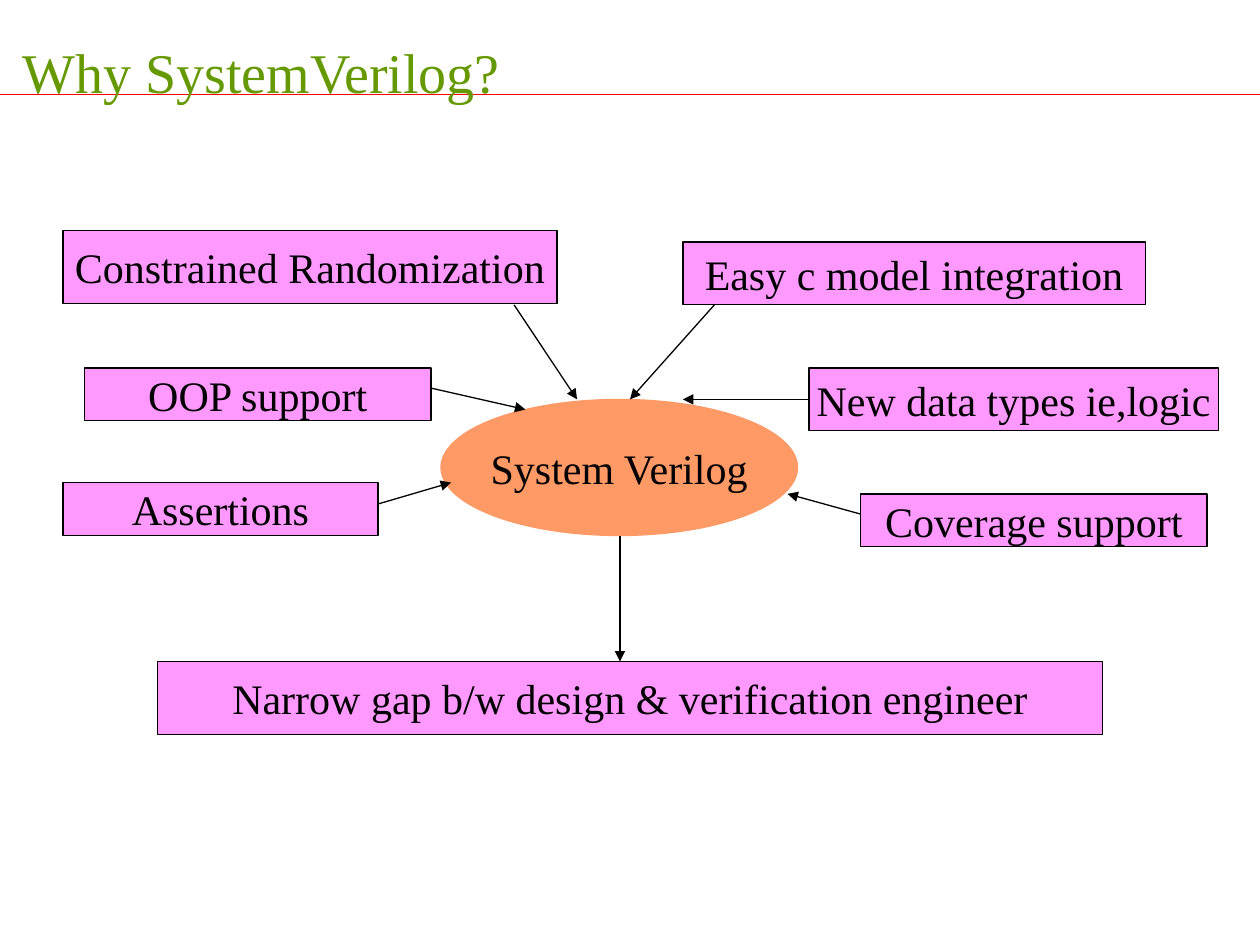
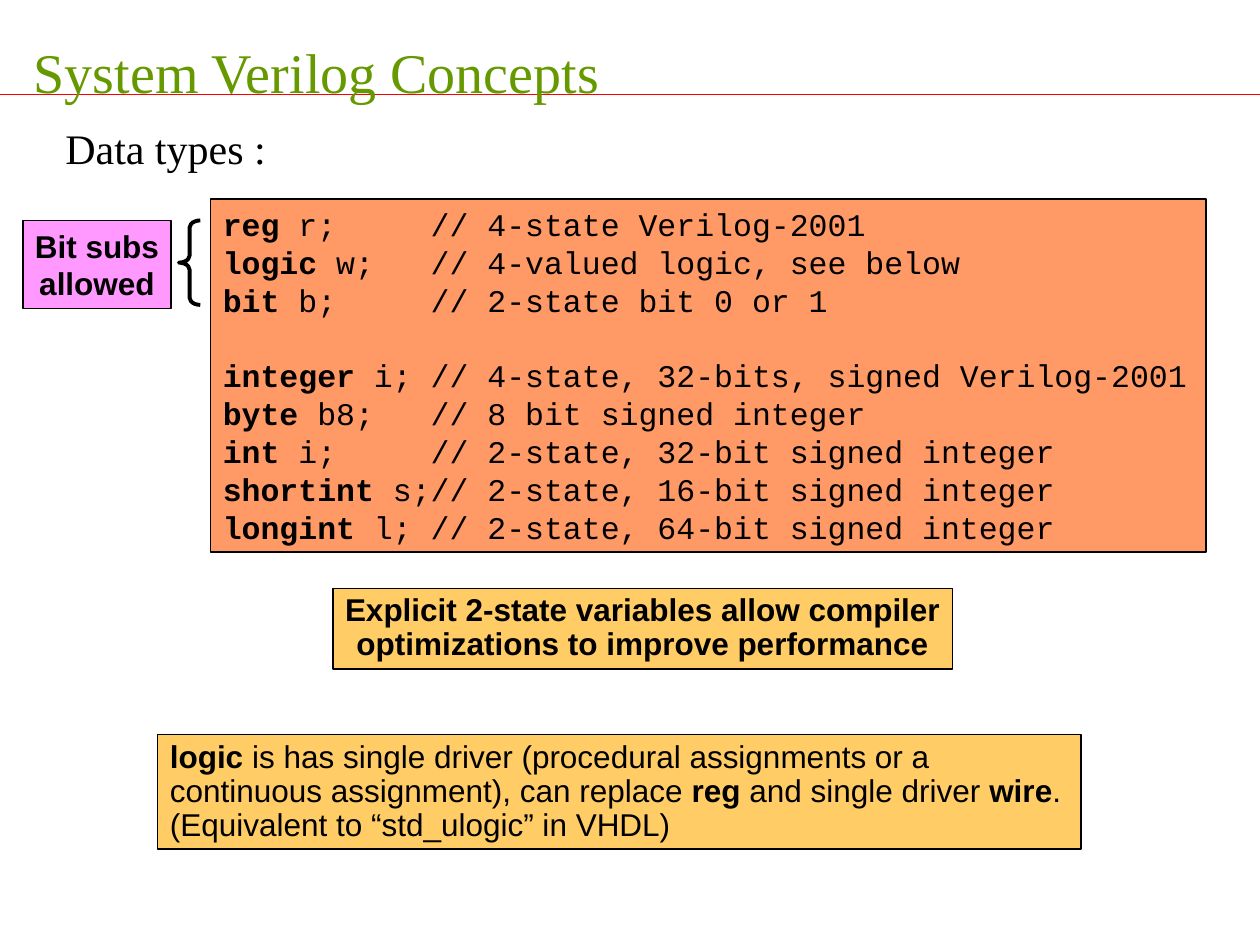
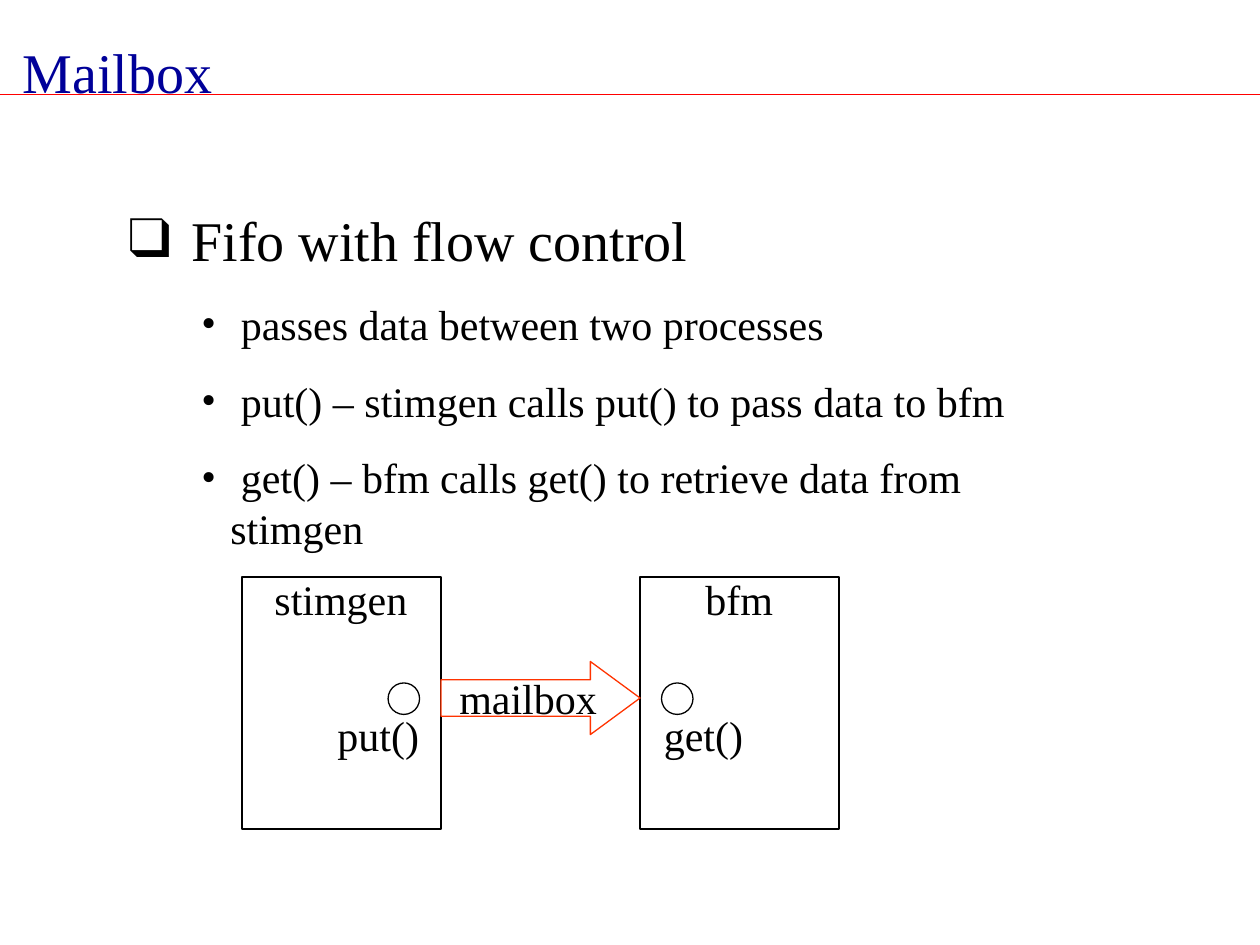
import pptx
import pptx.dml.color
import pptx.enum.shapes
import pptx.enum.text
import pptx.oxml
import pptx.oxml.ns
import pptx.util
from lxml import etree

Inches = pptx.util.Inches
Pt = pptx.util.Pt
SHAPE = pptx.enum.shapes.MSO_SHAPE
ALIGN = pptx.enum.text.PP_ALIGN
ANCHOR = pptx.enum.text.MSO_ANCHOR
AUTO_SIZE = pptx.enum.text.MSO_AUTO_SIZE
colour = pptx.dml.color.RGBColor.from_string
qn = pptx.oxml.ns.qn

BLACK, WHITE, RED = "000000", "FFFFFF", "FF0000"
GREEN, NAVY = "669900", "000099"
PINK, ORANGE, YELLOW, ARROW_RED = "FF99FF", "FF9966", "FFCC66", "FF3300"
SERIF, SANS, MONO = "Times New Roman", "Arial", "Courier New"


def add_box(page, text, area, shape=None, fill=None, line=BLACK, line_width=0.75,
            font=SERIF, size=24, text_colour=BLACK, align=ALIGN.LEFT, middle=False,
            wrap=True, grow=False, before=0, spacing=None, bullet=None, hang=0):
    """Add a text box, or a preset shape; text between asterisks is bold."""
    area = [Inches(length) for length in area]
    if shape is None:
        box = page.shapes.add_textbox(*area)
    else:
        box = page.shapes.add_shape(shape, *area)
        box.shadow.inherit = False
        box.line.color.rgb = colour(line)
        box.line.width = Pt(line_width)
        if fill:
            box.fill.solid()
            box.fill.fore_color.rgb = colour(fill)
        else:
            box.fill.background()
    if not text:
        return box

    frame = box.text_frame
    frame.word_wrap = wrap
    frame.auto_size = AUTO_SIZE.SHAPE_TO_FIT_TEXT if grow else AUTO_SIZE.NONE
    frame.vertical_anchor = ANCHOR.MIDDLE if middle else ANCHOR.TOP
    for row, words in enumerate(text.split("\n")):
        para = frame.add_paragraph() if row else frame.paragraphs[0]
        para.alignment = align
        para.space_before = Pt(before)
        if spacing:
            para.line_spacing = spacing
        if bullet:
            properties = para._p.get_or_add_pPr()
            properties.set("marL", str(Inches(hang)))
            properties.set("indent", str(-Inches(hang)))
            etree.SubElement(properties, qn("a:buFont"), typeface=font)
            etree.SubElement(properties, qn("a:buChar"), char=bullet)
        for part, piece in enumerate(words.split("*")):
            if piece == "\v":
                para.add_line_break()
            elif piece:
                span = para.add_run()
                span.text = piece
                span.font.name = font
                span.font.size = Pt(size)
                span.font.bold = part % 2 == 1
                span.font.color.rgb = colour(text_colour)
    return box


def add_line(page, start, end, line=BLACK, arrow=True):
    connector = page.shapes.add_connector(
        pptx.enum.shapes.MSO_CONNECTOR.STRAIGHT,
        *[Inches(length) for length in start + end])
    connector.line.color.rgb = colour(line)
    connector.line.width = Pt(0.75)
    if arrow:
        etree.SubElement(connector.line._get_or_add_ln(), qn("a:tailEnd"), type="triangle")
    etree.SubElement(connector._element.spPr, qn("a:effectLst"))
    return connector


deck = pptx.Presentation()
deck.slide_width, deck.slide_height = Inches(10), Inches(7.5)
pages = []
for title, left, width, title_colour in (
    ("Why SystemVerilog?", 0.08, 7.42, GREEN),
    ("System Verilog Concepts", 0.17, 5.25, GREEN),
    ("Mailbox", 0.08, 1.71, NAVY),
):
    page = deck.slides.add_slide(deck.slide_layouts[6])
    add_line(page, (0, 0.75), (10, 0.75), line=RED, arrow=False)
    add_box(page, title, (left, 0.25, width, 0.64), size=32, text_colour=title_colour,
            before=20, grow=True)
    pages.append(page)
why_page, types_page, mailbox_page = pages

# Why SystemVerilog: features around the language
centred = dict(align=ALIGN.CENTER, middle=True, wrap=False)
add_box(why_page, "System Verilog", (3.5, 3.17, 2.83, 1.08), SHAPE.OVAL,
        fill=ORANGE, line=ORANGE, **centred)
features = {}
for name, area in (
    ("Assertions", (0.5, 3.83, 2.5, 0.42)),
    ("OOP support", (0.67, 2.92, 2.75, 0.42)),
    ("Constrained Randomization", (0.5, 1.83, 3.92, 0.58)),
    ("New data types ie,logic", (6.42, 2.92, 3.25, 0.5)),
    ("Coverage support", (6.83, 3.92, 2.75, 0.42)),
    ("Easy c model integration", (5.42, 1.92, 3.67, 0.5)),
    ("Narrow gap b/w design & verification engineer", (1.25, 5.25, 7.5, 0.58)),
):
    features[name] = add_box(why_page, name, area, SHAPE.RECTANGLE, fill=PINK, **centred)

for start, end in (
    ((3.42, 3.08), (4.17, 3.25)),
    ((3, 4), (3.58, 3.83)),
    ((6.83, 4.08), (6.25, 3.92)),
    ((4.08, 2.42), (4.58, 3.17)),
    ((5.67, 2.42), (5, 3.17)),
    ((4.92, 4.25), (4.92, 5.25)),
):
    add_line(why_page, start, end)
data_types_arrow = add_line(why_page, (6.42, 3.17), (5.42, 3.17))
data_types_arrow.begin_connect(features["New data types ie,logic"], 1)

# Concepts: data types
declarations = "\n".join((
    "*reg* r;\t// 4-state Verilog-2001",
    "*logic* w;\t// 4-valued logic, see below",
    "*bit* b;\t// 2-state bit 0 or 1",
    "*integer* i;\t// 4-state, 32-bits, signed Verilog-2001",
    "*byte* b8;\t// 8 bit signed integer",
    "*int* i;\t// 2-state, 32-bit signed integer",
    "*shortint* s;// 2-state, 16-bit signed integer",
    "*longint* l;\t// 2-state, 64-bit signed integer",
))
code_box = add_box(types_page, declarations, (1.67, 1.58, 7.9, 2.8), SHAPE.RECTANGLE,
                   fill=ORANGE, line_width=1, font=MONO, size=18, grow=True)
for para in code_box.text_frame.paragraphs:
    tab_list = etree.SubElement(para._p.get_or_add_pPr(), qn("a:tabLst"))
    etree.SubElement(tab_list, qn("a:tab"), pos=str(Inches(1.65)), algn="l")
code_box.text_frame.paragraphs[3].space_before = Pt(21.6)

note = dict(shape=SHAPE.RECTANGLE, line_width=1, font=SANS, size=18)
add_box(types_page,
        "*Explicit 2-state variables allow compiler*\v*optimizations to improve performance*",
        (2.64, 4.67, 4.92, 0.64), fill=YELLOW, align=ALIGN.CENTER, wrap=False,
        before=11.2, spacing=0.9, **note)
add_box(types_page,
        "*logic* is has single driver (procedural assignments or a continuous assignment), "
        "can replace *reg* and single driver *wire*. (Equivalent to “std_ulogic” in VHDL)",
        (1.25, 5.83, 7.33, 0.91), fill=YELLOW, before=6.8, spacing=0.9, **note)
add_box(types_page, "*Bit subs*\n*allowed*", (0.18, 1.75, 1.18, 0.7), fill=PINK,
        align=ALIGN.CENTER, wrap=False, **note)
brace = add_box(types_page, "", (1.42, 1.75, 0.17, 0.67), SHAPE.LEFT_BRACE, line_width=2.25)
brace.adjustments[0] = 0.33
add_box(types_page, "Data types :", (0.42, 0.92, 2.58, 0.5), before=15, grow=True)

# Mailbox: bullets and data flow
add_box(mailbox_page, " Fifo with flow control", (0.92, 1.58, 7.42, 0.64), size=32,
        before=20, grow=True, bullet="❑", hang=0.39)
add_box(mailbox_page,
        " passes data between two processes\n"
        " put() – stimgen calls put() to pass data to bfm\n"
        " get() – bfm calls get() to retrieve data from stimgen",
        (1.5, 2.32, 7.25, 2.12), before=15, grow=True, bullet="•", hang=0.23)
for process, left, name_left, call, call_left, port_left in (
    ("stimgen", 1.92, 2.08, "put()", 2.58, 3.08),
    ("bfm", 5.08, 5.5, "get()", 5.17, 5.25),
):
    add_box(mailbox_page, "", (left, 4.58, 1.58, 2), SHAPE.RECTANGLE, fill=WHITE)
    add_box(mailbox_page, "", (port_left, 5.42, 0.25, 0.25), SHAPE.OVAL, fill=WHITE)
    add_box(mailbox_page, process, (name_left, 4.5, 1.5, 0.5), before=15, grow=True)
    add_box(mailbox_page, call, (call_left, 5.58, 1.5, 0.5), before=15, grow=True)
mailbox_arrow = add_box(mailbox_page, "mailbox", (3.5, 5.25, 1.58, 0.58), SHAPE.RIGHT_ARROW,
                        fill=WHITE, line=ARROW_RED, **centred)
mailbox_arrow.adjustments[0] = 0.5
mailbox_arrow.adjustments[1] = 0.68

deck.save("out.pptx")
